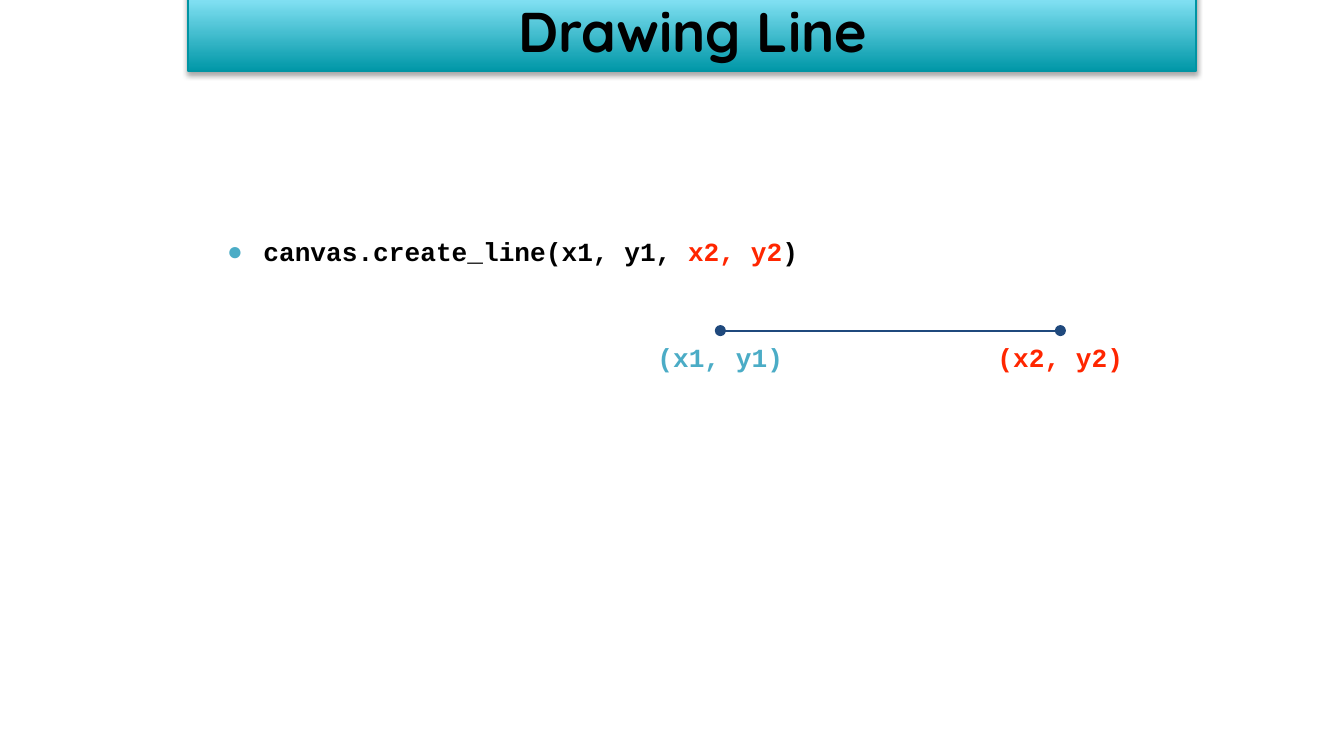
"""Build the slide that explains drawing a line on a canvas."""
import dataclasses

import lxml.etree
import pptx
import pptx.dml.color
import pptx.enum.shapes
import pptx.enum.text
import pptx.oxml.ns
import pptx.slide
import pptx.text.text
import pptx.util

Inches = pptx.util.Inches
Pt = pptx.util.Pt
BLACK, TEAL, RED, NAVY = "000000", "4BACC6", "FF2600", "1F497D"
CODE_FONT = "Courier New"
SLIDE_WIDTH = 10
LINE_Y = 2.46
LABEL_TOP = 2.47
LABEL_WIDTH = 1.97


@dataclasses.dataclass
class Endpoint:
    text: str
    x: float
    color: str


ENDPOINTS = [Endpoint("(x1, y1)", 5.36, TEAL), Endpoint("(x2, y2)", 7.89, RED)]
CODE_PARTS = [("canvas.create_line(x1, y1, ", BLACK), ("x2, y2", RED), (")", BLACK)]


def rgb(value: str) -> pptx.dml.color.RGBColor:
    return pptx.dml.color.RGBColor.from_string(value)


def add_element(parent, tag: str, **attributes: str):
    element = lxml.etree.SubElement(parent, pptx.oxml.ns.qn(tag))
    for name, value in attributes.items():
        element.set(name, value)
    return element


def style_font(font: pptx.text.text.Font, name: str, size: float, color: str) -> None:
    font.name, font.size, font.bold = name, Pt(size), True
    font.color.rgb = rgb(color)


def set_frame(frame: pptx.text.text.TextFrame, inset: float) -> None:
    frame.word_wrap = True
    frame.auto_size = pptx.enum.text.MSO_AUTO_SIZE.NONE
    frame.margin_left = frame.margin_right = Inches(inset)
    frame.margin_top = frame.margin_bottom = Inches(inset)


def place(shape, left: float, top: float, width: float, height: float) -> None:
    shape.left, shape.top = Inches(left), Inches(top)
    shape.width, shape.height = Inches(width), Inches(height)


def add_title(page: pptx.slide.Slide) -> None:
    title = page.shapes.title
    banner = page.shapes.add_shape(
        pptx.enum.shapes.MSO_SHAPE.RECTANGLE,
        Inches(1.4), Inches(-0.08), Inches(7.5), Inches(0.61))
    banner.fill.gradient()
    banner.fill.gradient_angle = 90
    for stop, color in zip(banner.fill.gradient_stops, ("0097A7", "94EBFE")):
        stop.color.rgb = rgb(color)
    banner.line.color.rgb = rgb("0094A3")
    banner.line.width = Pt(0.75)
    banner.shadow.inherit = False
    effects = banner.element.spPr.find(pptx.oxml.ns.qn("a:effectLst"))
    shadow = add_element(effects, "a:outerShdw", blurRad=str(Pt(3)), dist=str(Pt(1.8)),
                         dir="5400000", algn="ctr", rotWithShape="0")
    add_element(add_element(shadow, "a:srgbClr", val=BLACK), "a:alpha", val="35000")
    title.element.addprevious(banner.element)

    place(title, 1.44, -0.08, 7.43, 0.61)
    set_frame(title.text_frame, 0.04)
    title.text_frame.vertical_anchor = pptx.enum.text.MSO_ANCHOR.MIDDLE
    title.text_frame.text = "Drawing Line"
    para = title.text_frame.paragraphs[0]
    para.alignment = pptx.enum.text.PP_ALIGN.CENTER
    style_font(para.runs[0].font, "Quicksand", 30, BLACK)


def add_code(page: pptx.slide.Slide) -> None:
    body = page.placeholders[1]
    place(body, 1.51, 1.65, 6.99, 2.8)
    set_frame(body.text_frame, 0.07)
    para = body.text_frame.paragraphs[0]
    properties = para._p.get_or_add_pPr()
    properties.set("marL", str(Inches(0.38)))
    properties.set("indent", str(Inches(-0.27)))
    add_element(add_element(properties, "a:buClr"), "a:srgbClr", val=TEAL)
    add_element(properties, "a:buChar", char="●")
    para.line_spacing = 1.15
    para.space_before = Pt(0)
    for text, color in CODE_PARTS:
        span = para.add_run()
        span.text = text
        style_font(span.font, CODE_FONT, 14, color)


def add_line(page: pptx.slide.Slide, start: Endpoint, end: Endpoint) -> None:
    line = page.shapes.add_connector(
        pptx.enum.shapes.MSO_CONNECTOR.STRAIGHT,
        Inches(start.x), Inches(LINE_Y), Inches(end.x), Inches(LINE_Y))
    line.line.color.rgb = rgb(NAVY)
    line.line.width = Pt(1)
    properties = line.element.spPr
    outline = properties.find(pptx.oxml.ns.qn("a:ln"))
    for tag in ("a:headEnd", "a:tailEnd"):
        add_element(outline, tag, type="oval")
    add_element(properties, "a:effectLst")


def add_label(page: pptx.slide.Slide, endpoint: Endpoint) -> None:
    box = page.shapes.add_textbox(
        Inches(endpoint.x - LABEL_WIDTH / 2), Inches(LABEL_TOP),
        Inches(LABEL_WIDTH), Inches(0.37))
    set_frame(box.text_frame, 0.07)
    box.text_frame.text = endpoint.text
    para = box.text_frame.paragraphs[0]
    para.alignment = pptx.enum.text.PP_ALIGN.CENTER
    style_font(para.runs[0].font, CODE_FONT, 14, endpoint.color)


def main() -> None:
    deck = pptx.Presentation()
    deck.slide_width = Inches(SLIDE_WIDTH)
    deck.slide_height = Inches(SLIDE_WIDTH * 9 / 16)
    page = deck.slides.add_slide(deck.slide_layouts[1])
    add_title(page)
    add_code(page)
    add_line(page, *ENDPOINTS)
    for endpoint in ENDPOINTS:
        add_label(page, endpoint)
    deck.save("out.pptx")


if __name__ == "__main__":
    main()
